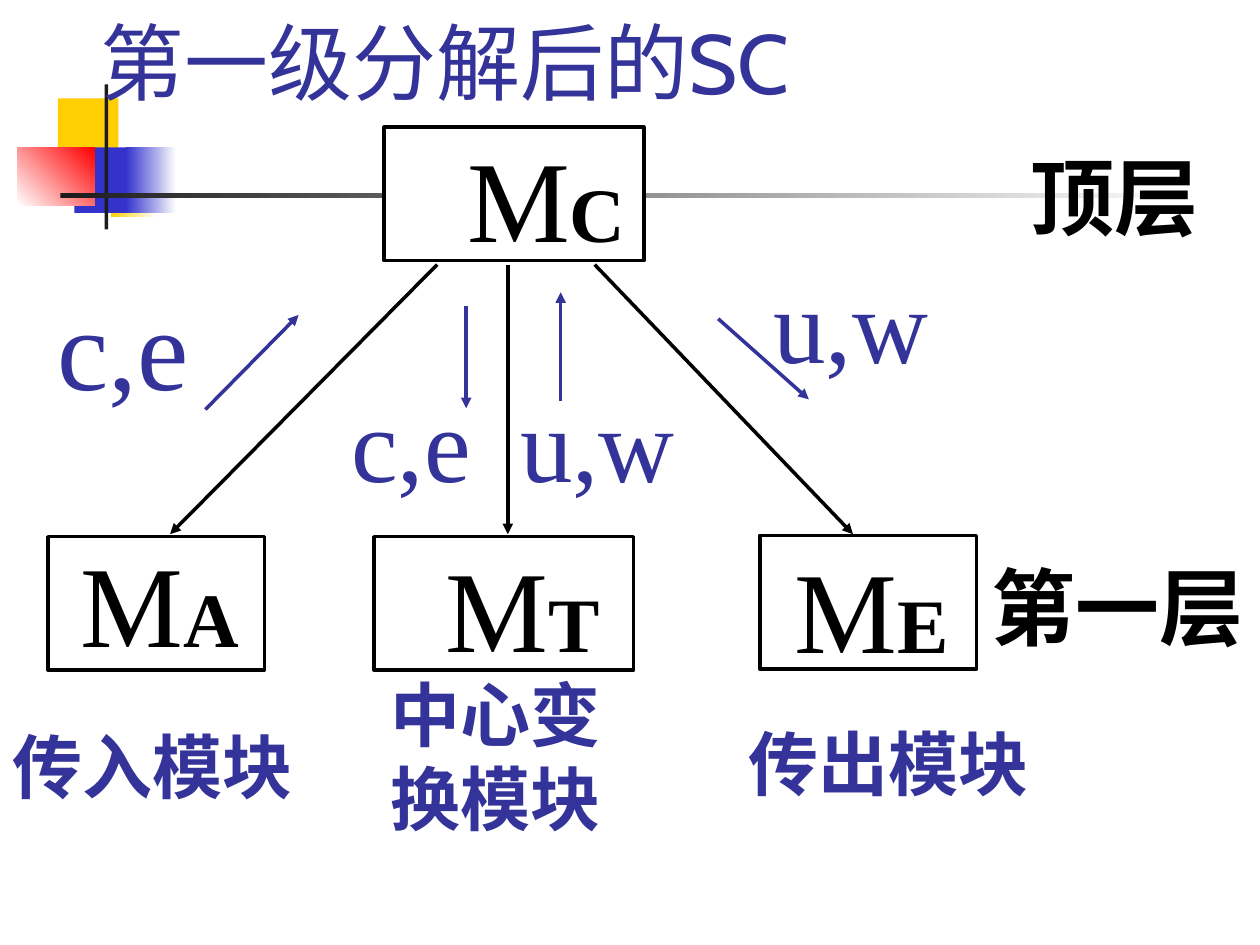
from lxml import etree
from pptx import Presentation
from pptx.dml.color import RGBColor
from pptx.enum import shapes, text
from pptx.oxml import ns
from pptx.util import Inches, Pt

BLACK = RGBColor(0x00, 0x00, 0x00)
WHITE = RGBColor(0xFF, 0xFF, 0xFF)
NAVY = RGBColor(0x33, 0x33, 0x99)
BLUE = RGBColor(0x33, 0x33, 0xCC)
GOLD = RGBColor(0xFF, 0xCF, 0x01)
RED = RGBColor(0xFF, 0x00, 0x00)
DARK = RGBColor(0x1C, 0x1C, 0x1C)

HAN = "Noto Sans CJK SC"
ROMAN = "Times New Roman"

# Corner ornament: place, colours (two make a gradient), angle
DECOR = [
    ((0.46, 0.78, 0.48, 0.52), (GOLD,), 0),
    ((0.88, 1.2, 0.36, 0.52), (GOLD, WHITE), 0),
    ((0.59, 1.17, 0.46, 0.52), (BLUE,), 0),
    ((1, 1.17, 0.4, 0.52), (BLUE, WHITE), 0),
    ((0.14, 1.17, 0.61, 0.46), (WHITE, RED), 45),
    ((0.83, 0.67, 0.03, 1.15), (DARK,), 0),
    ((0.48, 1.53, 9, 0.04), (DARK, WHITE), 0),
]

# Modules: box place, subscript, place of the name
BOX_H, NAME_H = 1.06, 1.2
MODULES = [
    ((3.05, 1.01, 2.06), "C", (3.61, 0.96, 1.46)),
    ((2.97, 4.26, 2.06), "T", (3.44, 4.21, 1.42)),
    ((0.38, 4.26, 1.72), "A", (0.54, 4.17, 1.46)),
    ((6.03, 4.25, 1.72), "E", (6.21, 4.22, 1.42)),
]

# Calls from the top module: start x, end x
CALL_TOP, CALL_END = 2.1, 4.24
CALLS = [(4.03, 4.03), (4.72, 6.77), (3.47, 1.35)]

# Data flows: from, to
FLOWS = [
    ((1.63, 3.25), (2.37, 2.5)),
    ((3.7, 2.43), (3.7, 3.24)),
    ((4.45, 3.18), (4.45, 2.32)),
    ((5.7, 2.53), (6.42, 3.17)),
]
DATA = [
    ("c,e", (0.36, 2.13, 1.24, 1.2), 66),
    ("c,e", (2.69, 2.95, 1.15, 1.1), 60),
    ("u,w", (4.03, 2.95, 1.43, 1.1), 60),
    ("u,w", (6.04, 2, 1.43, 1.1), 60),
]

# Level names and module roles: lines, place, size, colour
LABELS = [
    (["第一层"], (7.77, 4.36, 2.45, 0.9), 48, BLACK),
    (["顶层"], (8.08, 1.11, 1.78, 0.9), 48, BLACK),
    (["传入模块"], (0, 5.69, 2.45, 0.76), 40, NAVY),
    (["传出模块"], (5.84, 5.67, 2.45, 0.76), 40, NAVY),
    (["中心变", "换模块"], (3, 5.28, 2.45, 1.43), 40, NAVY),
]

deck = Presentation()
deck.slide_width, deck.slide_height = Inches(10), Inches(7.5)
slide = deck.slides.add_slide(deck.slide_layouts[6])


def add_rect(place, fills, angle=0, edge=None):
    rect = slide.shapes.add_shape(
        shapes.MSO_SHAPE.RECTANGLE, *map(Inches, place))
    rect.shadow.inherit = False
    if len(fills) == 1:
        rect.fill.solid()
        rect.fill.fore_color.rgb = fills[0]
    else:
        rect.fill.gradient()
        rect.fill.gradient_angle = angle
        for stop, hue in zip(rect.fill.gradient_stops, fills):
            stop.color.rgb = hue
    if edge is None:
        rect.line.fill.background()
    else:
        rect.line.color.rgb = edge
        rect.line.width = Pt(2)


def add_text(lines, place, size, hue, face=ROMAN, bold=False, wrap=False):
    box = slide.shapes.add_textbox(*map(Inches, place))
    frame = box.text_frame
    frame.word_wrap = wrap
    frame.text = "\n".join(lines)
    for para in frame.paragraphs:
        font = para.font
        font.name, font.size, font.bold = face, Pt(size), bold
        font.color.rgb = hue
        # East Asian face for the Chinese characters
        props = para._p.pPr.find(ns.qn("a:defRPr"))
        etree.SubElement(props, ns.qn("a:ea"), typeface=HAN)
    return frame


def add_arrow(start, end, hue):
    arrow = slide.shapes.add_connector(
        shapes.MSO_CONNECTOR.STRAIGHT, *map(Inches, start + end))
    arrow.line.color.rgb = hue
    arrow.line.width = Pt(2)
    etree.SubElement(arrow.line._get_or_add_ln(), ns.qn("a:tailEnd"),
                     type="triangle")
    etree.SubElement(arrow._element.spPr, ns.qn("a:effectLst"))


# Ornament and title
for place, fills, angle in DECOR:
    add_rect(place, fills, angle)
title = add_text(["第一级分解后的SC"], (0.7, 0.06, 7, 0.85), 48, NAVY,
                 "Cabin", wrap=True)
title.vertical_anchor = text.MSO_ANCHOR.MIDDLE

# Modules
for box, sub, name in MODULES:
    add_rect(box + (BOX_H,), (WHITE,), edge=BLACK)
    para = add_text(["M"], name + (NAME_H,), 66, BLACK).paragraphs[0]
    run = para.add_run()
    run.text = sub
    run.font.size, run.font.bold = Pt(44), True

# Calls and data flows
for top, end in CALLS:
    add_arrow((top, CALL_TOP), (end, CALL_END), BLACK)
for start, end in FLOWS:
    add_arrow(start, end, NAVY)
for word, place, size in DATA:
    add_text([word], place, size, NAVY)

# Labels
for lines, place, size, hue in LABELS:
    add_text(lines, place, size, hue, HAN, bold=True, wrap=True)

deck.save("out.pptx")
